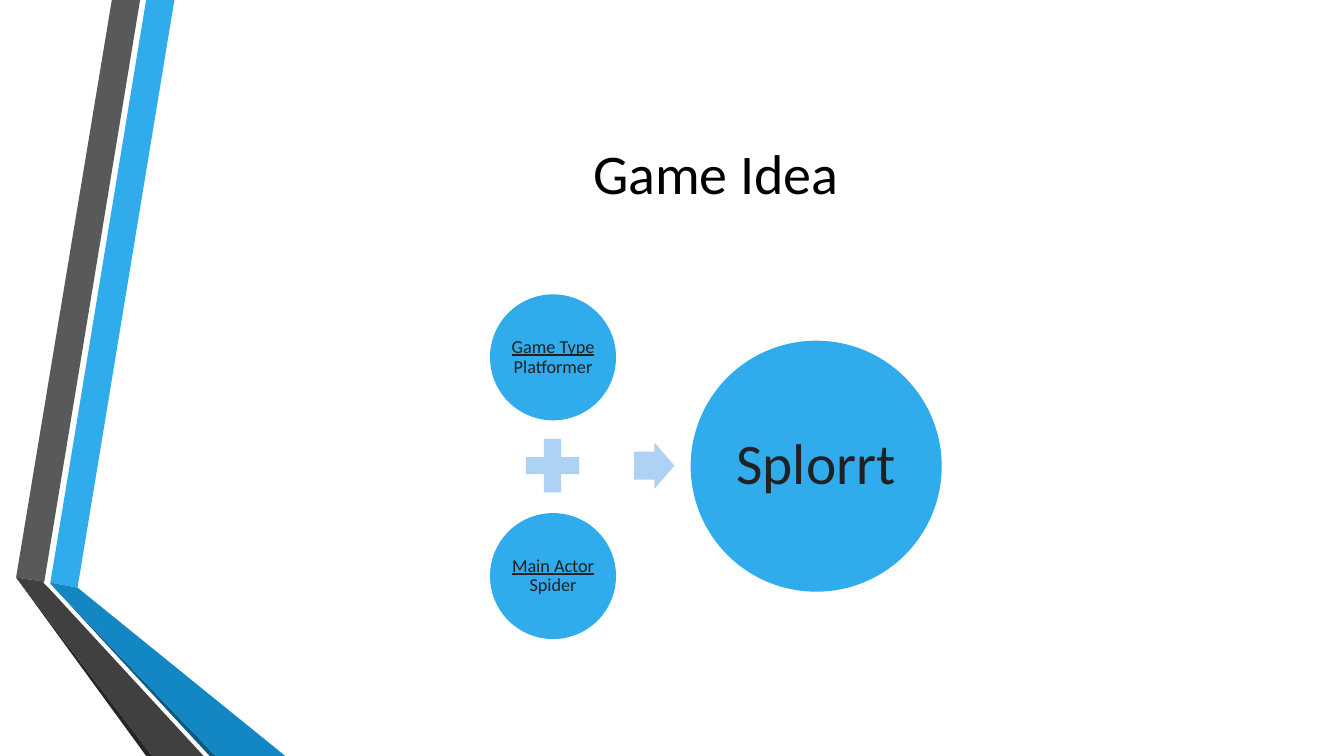
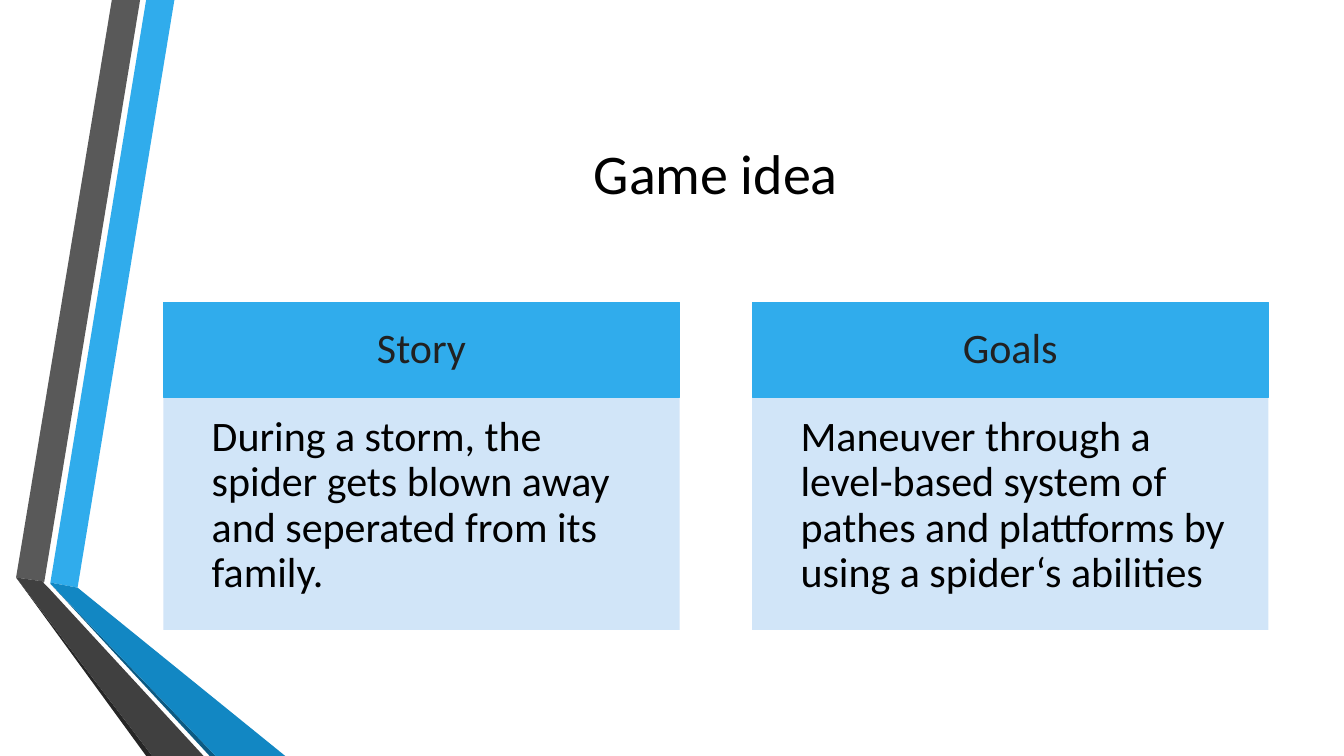
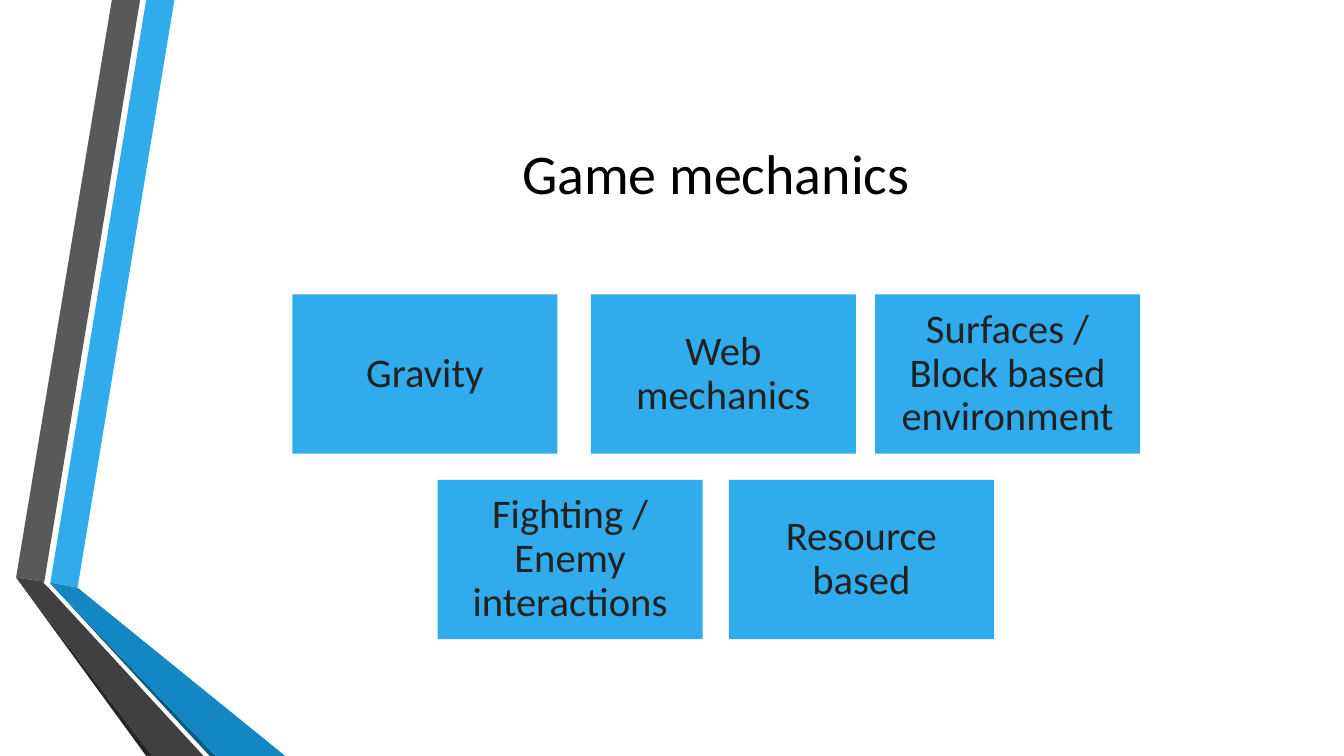
from dataclasses import dataclass

from lxml import etree
from pptx import Presentation
from pptx.dml.color import RGBColor
from pptx.enum.shapes import MSO_SHAPE
from pptx.enum.text import MSO_ANCHOR, PP_ALIGN
from pptx.oxml.ns import qn
from pptx.util import Inches, Pt

CIRCLE, BOX = MSO_SHAPE.OVAL, MSO_SHAPE.RECTANGLE
PLUS, ARROW = MSO_SHAPE.MATH_PLUS, MSO_SHAPE.RIGHT_ARROW
LEFT, CENTER = PP_ALIGN.LEFT, PP_ALIGN.CENTER
TOP, MIDDLE = MSO_ANCHOR.TOP, MSO_ANCHOR.MIDDLE


@dataclass(frozen=True)
class Theme:
    font: str = "Calibri"
    black: str = "000000"
    ink: str = "212121"
    blue: str = "30ACEC"
    blue_mid: str = "1287C3"
    blue_dark: str = "0C5A82"
    sky: str = "AED2F4"
    pale: str = "CDE3F8"
    gray: str = "595959"
    gray_mid: str = "404040"
    gray_dark: str = "262626"
    title: int = 40
    result: int = 41
    panel: int = 30
    tile: int = 29
    ingredient: int = 13


theme = Theme()


def paint(shape, color, outline=None):
    """Give a shape a flat fill, an optional thin outline and no shadow."""
    shape.shadow.inherit = False
    shape.fill.solid()
    shape.fill.fore_color.rgb = RGBColor.from_string(color)
    if outline:
        shape.line.color.rgb = RGBColor.from_string(outline)
        shape.line.width = Pt(0.75)
    else:
        shape.line.fill.background()
    return shape


def write(shape, text, *, size, color=theme.ink, heading="", align=CENTER,
          anchor=MIDDLE, insets=(0.1, 0.05, 0.1, 0.05), spacing=0.9):
    """Put text in a shape, after an optional underlined heading."""
    frame = shape.text_frame
    frame.word_wrap = True
    frame.vertical_anchor = anchor
    (frame.margin_left, frame.margin_top,
     frame.margin_right, frame.margin_bottom) = map(Inches, insets)
    paragraph = frame.paragraphs[0]
    paragraph.alignment = align
    paragraph.line_spacing = spacing
    for words, underlined in ((heading, True), (text, False)):
        if words:
            run = paragraph.add_run()
            run.text = words
            run.font.name = theme.font
            run.font.size = Pt(size)
            run.font.underline = underlined
            run.font.color.rgb = RGBColor.from_string(color)


prs = Presentation()
prs.slide_width, prs.slide_height = Inches(13.33), Inches(7.5)

# Shared layout: title position and folded ribbons
layout = prs.slide_layouts[5]
layout_title = layout.placeholders[0]
layout_title.left, layout_title.top = Inches(1.62), Inches(0.75)
layout_title.width, layout_title.height = Inches(10.96), Inches(1.92)

slides = []
for heading in ("Game Idea", "Game idea", "Game mechanics"):
    slide = prs.slides.add_slide(layout)
    write(slide.shapes.title, heading, size=theme.title, color=theme.black, spacing=1.0)
    slides.append(slide)
idea, story, mechanics = slides

ribbons = [
    (theme.blue, [(0.5, 5.78), (0.77, 5.83), (1.73, 0), (1.45, 0)]),
    (theme.gray, [(1.39, 0), (1.11, 0), (0.16, 5.73), (0.44, 5.77)]),
    (theme.gray_dark, [(0.16, 5.73), (1.45, 7.5), (1.51, 7.5)]),
    (theme.blue_dark, [(0.5, 5.79), (2.08, 7.5), (2.14, 7.5)]),
    (theme.blue_mid, [(0.5, 5.79), (2.14, 7.5), (2.83, 7.5), (0.77, 5.83), (0.5, 5.78)]),
    (theme.gray_mid, [(2.02, 7.5), (0.48, 5.83), (0.43, 5.78), (0.44, 5.77),
                      (0.16, 5.73), (1.51, 7.5)]),
]
for index, (color, points) in enumerate(ribbons):
    corners = [(Inches(x), Inches(y)) for x, y in points]
    outline = idea.shapes.build_freeform(*corners[0])
    outline.add_line_segments(corners[1:], close=True)
    ribbon = paint(outline.convert_to_shape(), color)
    ribbon.element.nvSpPr.cNvPr.set("id", str(20 + index))
    layout.shapes.element.insert(2 + index, ribbon.element)

# Slide 1: two ingredients add up to the game
for top, heading, choice in ((2.92, "Game Type ", "Platformer"),
                             (5.09, "Main Actor ", "Spider")):
    ingredient = idea.shapes.add_shape(
        CIRCLE, Inches(4.86), Inches(top), Inches(1.25), Inches(1.25))
    paint(ingredient, theme.blue)
    write(ingredient, choice, heading=heading, size=theme.ingredient, insets=(0.02,) * 4)

plus = idea.shapes.add_shape(PLUS, Inches(5.12), Inches(4.26), Inches(0.72), Inches(0.72))
paint(plus, theme.sky)
arrow = idea.shapes.add_shape(ARROW, Inches(6.29), Inches(4.39), Inches(0.4), Inches(0.46))
arrow.adjustments[0] = 0.6
paint(arrow, theme.sky)

game = idea.shapes.add_shape(CIRCLE, Inches(6.85), Inches(3.38), Inches(2.49), Inches(2.49))
paint(game, theme.blue)
write(game, "Splorrt", size=theme.result, insets=(0.06,) * 4)

# Slide 2: two headed panels
panels = [
    ("Story", "During a storm, the spider gets blown away and seperated from its family."),
    ("Goals", "Maneuver through a level-based system of pathes and plattforms "
              "by using a spider‘s abilities"),
]
for column, (heading, description) in enumerate(panels):
    left = Inches(1.62 + 5.84 * column)
    header = story.shapes.add_shape(BOX, left, Inches(3), Inches(5.12), Inches(0.94))
    paint(header, theme.blue, outline=theme.blue)
    write(header, heading, size=theme.panel, insets=(0.23, 0.13, 0.23, 0.13))

    body = story.shapes.add_shape(BOX, left, Inches(3.95), Inches(5.12), Inches(2.3))
    paint(body, theme.pale)
    tint = body.element.spPr.find(qn("a:solidFill"))[0]
    etree.SubElement(tint, qn("a:alpha")).set("val", "90000")
    write(body, description, size=theme.panel, color=theme.black, align=LEFT,
          anchor=TOP, insets=(0.48, 0.17, 0.23, 0.26))

# Slide 3: mechanics in two rows of tiles
tile_rows = [
    (2.92, [(2.9, "Gravity"), (5.86, "Web mechanics"),
            (8.68, "Surfaces / Block based environment")]),
    (4.76, [(4.34, "Fighting / Enemy interactions"), (7.23, "Resource based")]),
]
for top, tiles in tile_rows:
    for left, mechanic in tiles:
        tile = mechanics.shapes.add_shape(
            BOX, Inches(left), Inches(top), Inches(2.63), Inches(1.58))
        paint(tile, theme.blue)
        write(tile, mechanic, size=theme.tile, insets=(0.12,) * 4)

prs.save("out.pptx")
